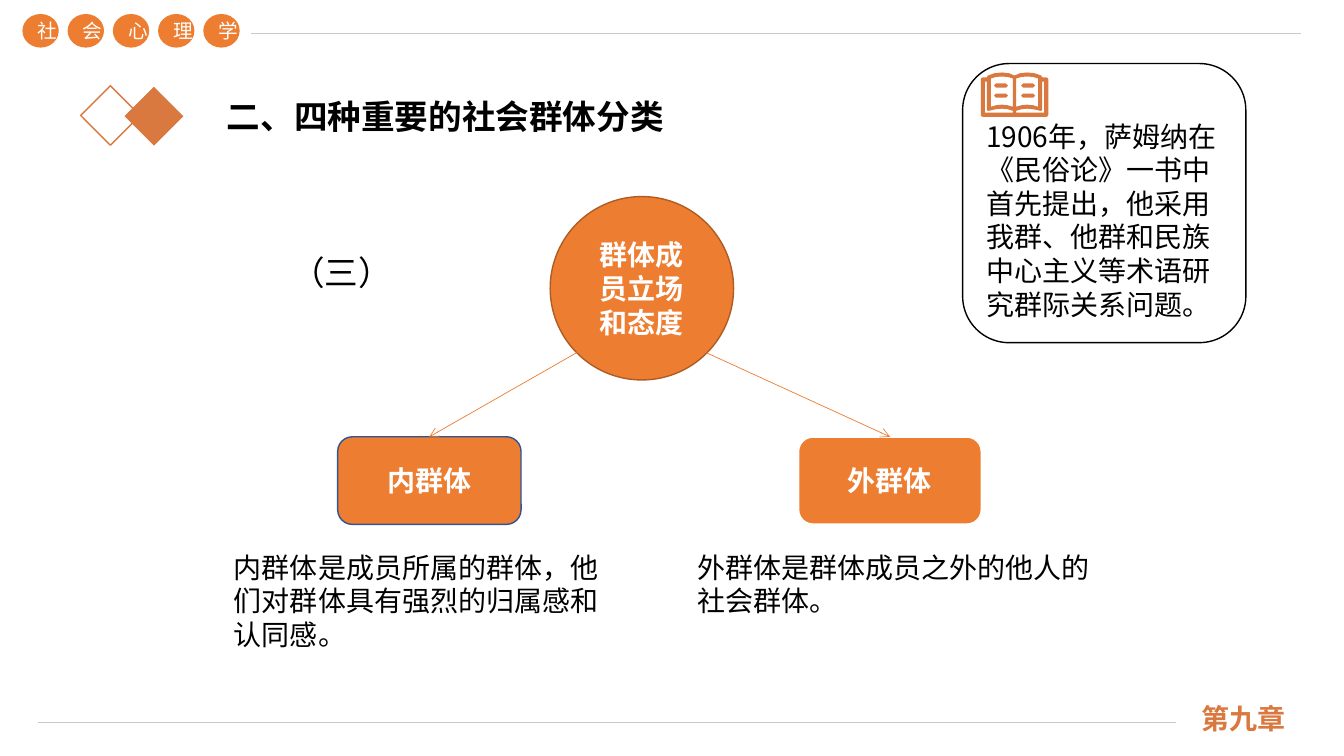
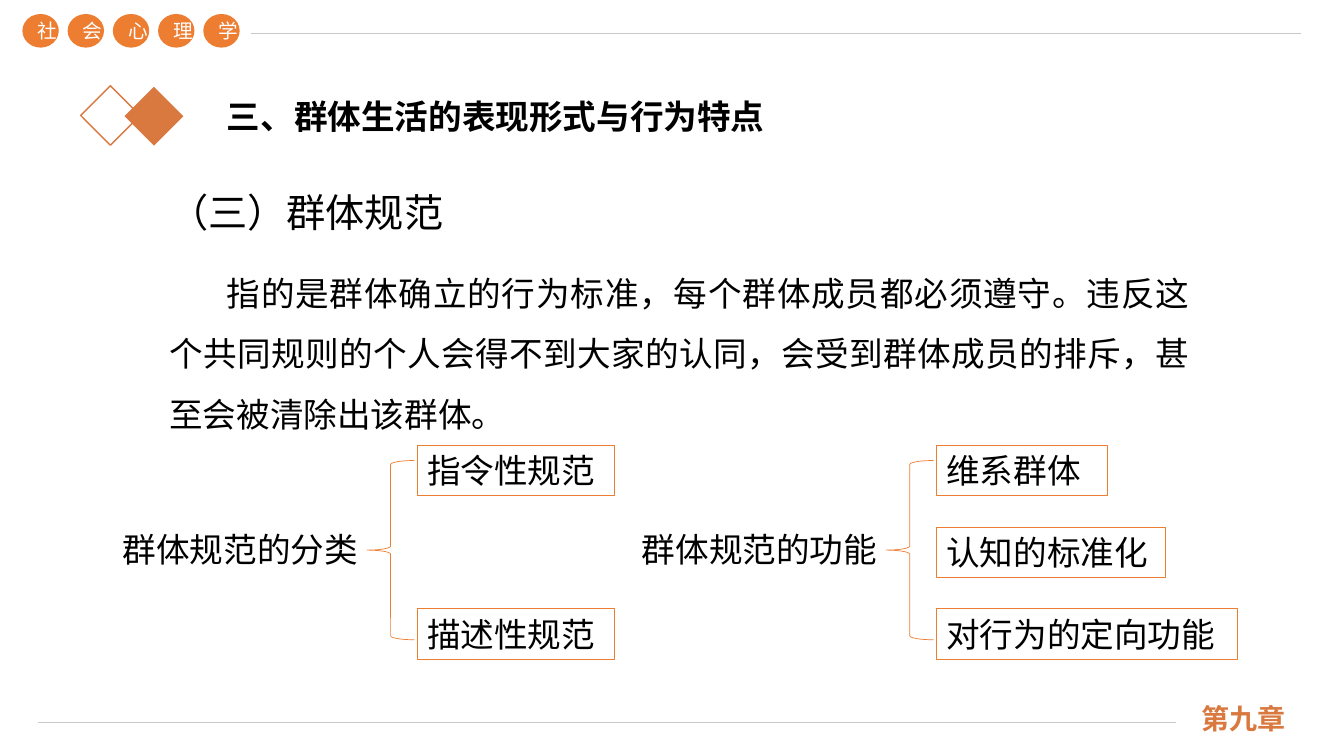
from lxml.etree import SubElement
from pptx import Presentation
from pptx.dml.color import RGBColor
from pptx.enum.shapes import MSO_CONNECTOR, MSO_SHAPE as SHAPE
from pptx.enum.text import MSO_ANCHOR as ANCHOR, PP_ALIGN as ALIGN
from pptx.oxml.ns import qn
from pptx.util import Pt

ORANGE, RUST, GREY = "ED7D31", "D9793F", "C9C9C9"
BLACK, WHITE = "000000", "FFFFFF"
SANS, FOOTER_FONT = "Noto Sans CJK SC", "Noto Sans CJK JP"
rgb = RGBColor.from_string

CENTERED = {"alignment": ALIGN.CENTER}
JUSTIFIED = {"alignment": ALIGN.JUSTIFY, "line_spacing": 1.5}
MIDDLE = {"vertical_anchor": ANCHOR.MIDDLE}

# name: (font values, colour, paragraph values)
STYLES = {
    "badge": ({"size": Pt(14), "name": SANS}, WHITE, CENTERED),
    "title": ({"size": Pt(24), "name": SANS, "bold": True}, BLACK, {}),
    "footer": ({"size": Pt(20), "name": FOOTER_FONT, "bold": True}, RUST, {}),
    "node": ({"size": Pt(20), "name": SANS, "bold": True}, WHITE, CENTERED),
    "note": ({"size": Pt(20), "name": SANS}, BLACK, {"alignment": ALIGN.LEFT}),
    "item": ({"size": Pt(24), "name": SANS}, BLACK, {"alignment": ALIGN.LEFT}),
    "number": ({"size": Pt(24), "name": SANS}, BLACK, JUSTIFIED),
    "heading": ({"size": Pt(28), "name": SANS}, BLACK, JUSTIFIED),
    "body": ({"size": Pt(24), "name": SANS}, BLACK, {**JUSTIFIED, "space_before": Pt(12)}),
}


def add_box(slide, kind, area, paragraphs=(), fill=None, line=None, weight=1, frame=None):
    """Add a preset shape, or a text box if kind is None; paragraphs are (text, style name)."""
    area = [Pt(length) for length in area]
    if kind is None:
        shape = slide.shapes.add_textbox(*area)
    else:
        shape = slide.shapes.add_shape(kind, *area)
        shape.shadow.inherit = False
        if fill:
            shape.fill.solid()
            shape.fill.fore_color.rgb = rgb(fill)
        else:
            shape.fill.background()
        if line:
            shape.line.color.rgb = rgb(line)
            shape.line.width = Pt(weight)
        else:
            shape.line.fill.background()
    text_frame = shape.text_frame
    text_frame.word_wrap = True
    for name, value in (frame or {}).items():
        setattr(text_frame, name, value)
    for index, (text, style) in enumerate(paragraphs):
        font_values, color, paragraph_values = STYLES[style]
        paragraph = text_frame.add_paragraph() if index else text_frame.paragraphs[0]
        for name, value in paragraph_values.items():
            setattr(paragraph, name, value)
        run = paragraph.add_run()
        run.text = text
        run.font.color.rgb = rgb(color)
        for name, value in font_values.items():
            setattr(run.font, name, value)
        SubElement(run.font._element, qn("a:ea"), typeface=font_values["name"])
    return shape


def add_line(slide, start, end, color, weight):
    connector = slide.shapes.add_connector(
        MSO_CONNECTOR.STRAIGHT, *[Pt(length) for length in (*start, *end)])
    connector.line.color.rgb = rgb(color)
    connector.line.width = Pt(weight)
    SubElement(connector._element.spPr, qn("a:effectLst"))
    return connector


presentation = Presentation()
presentation.slide_width, presentation.slide_height = Pt(960), Pt(540)

# Shared header, title and footer
slides = []
for title in ("二、四种重要的社会群体分类", "三、群体生活的表现形式与行为特点"):
    slide = presentation.slides.add_slide(presentation.slide_layouts[6])
    slides.append(slide)
    add_line(slide, (27.4, 516), (840, 516), GREY, 1)
    add_line(slide, (179.3, 24), (929, 24), GREY, 1)
    add_box(slide, None, (851, 499.7, 100, 28.8), [("第九章", "footer")],
            frame={"vertical_anchor": ANCHOR.BOTTOM})
    for index, character in enumerate("社会心理学"):
        add_box(slide, SHAPE.OVAL, (16 + 32.3 * index, 10, 26, 24),
                [(character, "badge")], fill=ORANGE, frame=MIDDLE)
    add_box(slide, SHAPE.DIAMOND, (89, 62, 42, 42), fill=RUST)
    add_box(slide, SHAPE.DIAMOND, (57.6, 61.2, 42.5, 42.5), line=RUST)
    add_box(slide, None, (155, 64.8, 500, 36), [(title, "title")])

# Slide 1: in-group and out-group
slide = slides[0]
add_box(slide, SHAPE.OVAL, (393, 140.4, 131, 131), [("群体成员立场和态度", "node")],
        fill=ORANGE, line="AF5C24", frame=MIDDLE)
branches = (
    ("内群体", 241.2, "325491", 1, 411.8, 160, 292,
     "内群体是成员所属的群体，他们对群体具有强烈的归属感和认同感。"),
    ("外群体", 570.2, WHITE, 1.5, 504.7, 491, 314,
     "外群体是群体成员之外的他人的社会群体。"),
)
for name, left, outline, weight, arrow_left, note_left, note_width, note in branches:
    group_box = add_box(slide, SHAPE.ROUNDED_RECTANGLE, (left, 312, 131, 62.6),
                        [(name, "node")], ORANGE, outline, weight, MIDDLE)
    arrow = add_line(slide, (arrow_left, 252), (left + 65.5, 312), ORANGE, 0.5)
    arrow.end_connect(group_box, 0)
    SubElement(arrow.line._get_or_add_ln(), qn("a:tailEnd"), type="arrow")
    add_box(slide, None, (note_left, 389.5, note_width, 80), [(note, "note")])
add_box(slide, None, (201, 162, 120, 46), [("（三）", "number")])
add_box(slide, SHAPE.ROUNDED_RECTANGLE, (687.6, 45.4, 202.3, 199.4),
        [("1906年，萨姆纳在《民俗论》一书中首先提出，他采用我群、他群和民族中心主义等术语研究群际关系问题。", "note")],
        fill=WHITE, line=BLACK, frame={**MIDDLE, "margin_top": Pt(27.6)})

# Open book icon, in tenths of a point: the left half is mirrored
BOOK_WIDTH = 482
cover = [(241, 22), (200, 5), (151, 0), (100, 5), (50, 22), (43, 36), (14, 36),
         (4, 40), (0, 50), (0, 302), (4, 313), (14, 317)]
rim = [(29, 65), (29, 288), (230, 288), (230, 274), (190, 262), (151, 259),
       (110, 262), (58, 274), (47, 273), (43, 266), (43, 65)]
page = [(151, 29), (110, 32), (72, 43), (72, 245), (110, 234), (151, 230),
        (190, 234), (230, 245), (230, 43), (190, 32)]
text_line = [(108, 79), (180, 79), (194, 94), (180, 108), (108, 108), (94, 94)]
half = [rim, page, text_line, [(x, y + 72) for x, y in text_line]]
outlines = [cover + [(BOOK_WIDTH - x, y) for x, y in reversed(cover)]]
for outline in half:
    outlines += [outline, [(BOOK_WIDTH - x, y) for x, y in outline]]
builder = slide.shapes.build_freeform(*outlines[0][0], scale=Pt(1) / 10)
builder.add_line_segments(outlines[0][1:], close=True)
for outline in outlines[1:]:
    builder.move_to(*outline[0])
    builder.add_line_segments(outline[1:], close=True)
book = builder.convert_to_shape(Pt(700.6), Pt(51.8))
book.shadow.inherit = False
book.fill.solid()
book.fill.fore_color.rgb = rgb(RUST)
book.line.fill.background()

# Slide 2: group norms
slide = slides[1]
text_box = add_box(slide, None, (113.8, 114.5, 743, 252), [
    ("（三）群体规范", "heading"),
    ("指的是群体确立的行为标准，每个群体成员都必须遵守。违反这个共同规则的个人会得不到大家的认同，会受到群体成员的排斥，甚至会被清除出该群体。", "body"),
])
text_box.text_frame.paragraphs[1]._p.get_or_add_pPr().set("indent", str(Pt(41)))

# Each item is (text, row, width)
trees = (
    ("群体规范的分类", 80.6, (("指令性规范", 0, 141), ("描述性规范", 2, 141))),
    ("群体规范的功能", 451.4, (("维系群体", 0, 122), ("认知的标准化", 1, 164),
                        ("对行为的定向功能", 2, 215))),
)
for topic, left, items in trees:
    add_box(slide, None, (left, 374.4, 190, 36), [(topic, "item")])
    add_box(slide, SHAPE.LEFT_BRACE, (left + 181.4, 329, 34, 128), line=ORANGE, weight=0.5)
    for text, row, width in items:
        add_box(slide, SHAPE.RECTANGLE, (left + 217.4, 318.2 + 58.4 * row, width, 36),
                [(text, "item")], line=ORANGE, weight=0.75,
                frame={"vertical_anchor": ANCHOR.TOP})

presentation.save("out.pptx")
